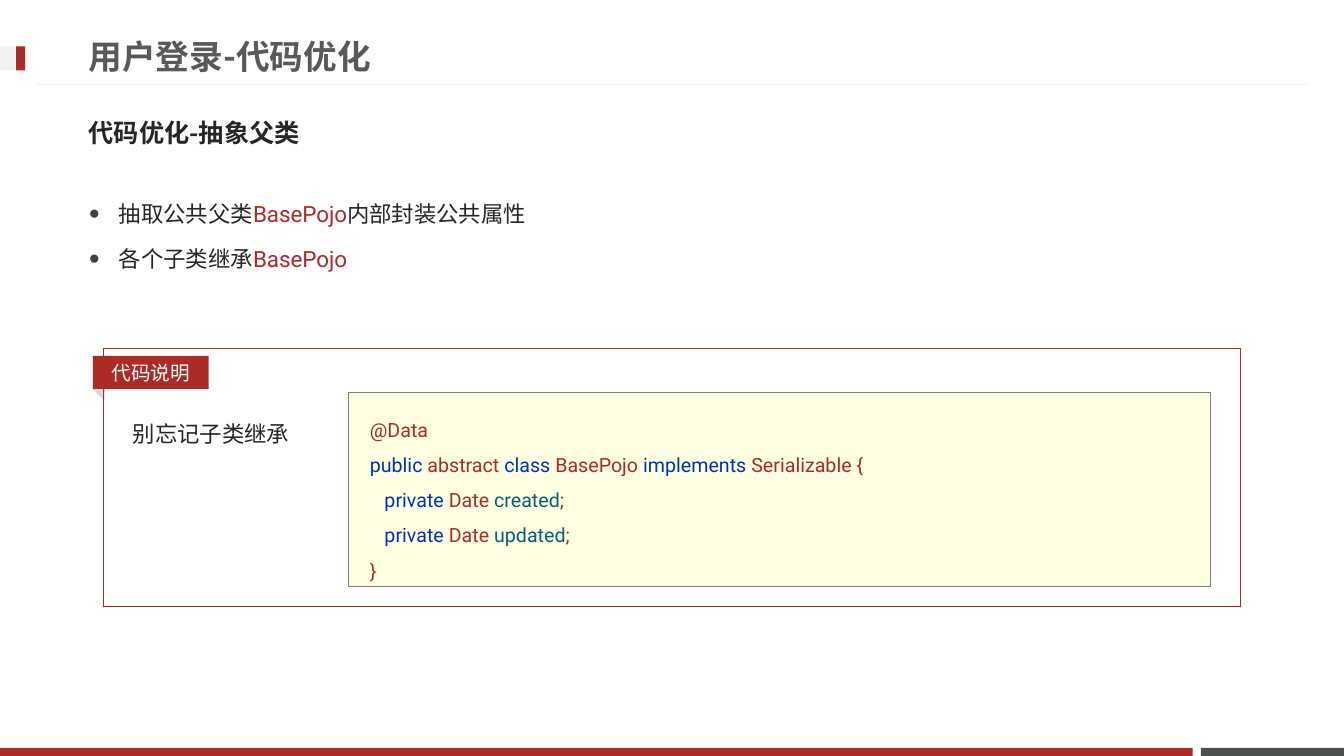
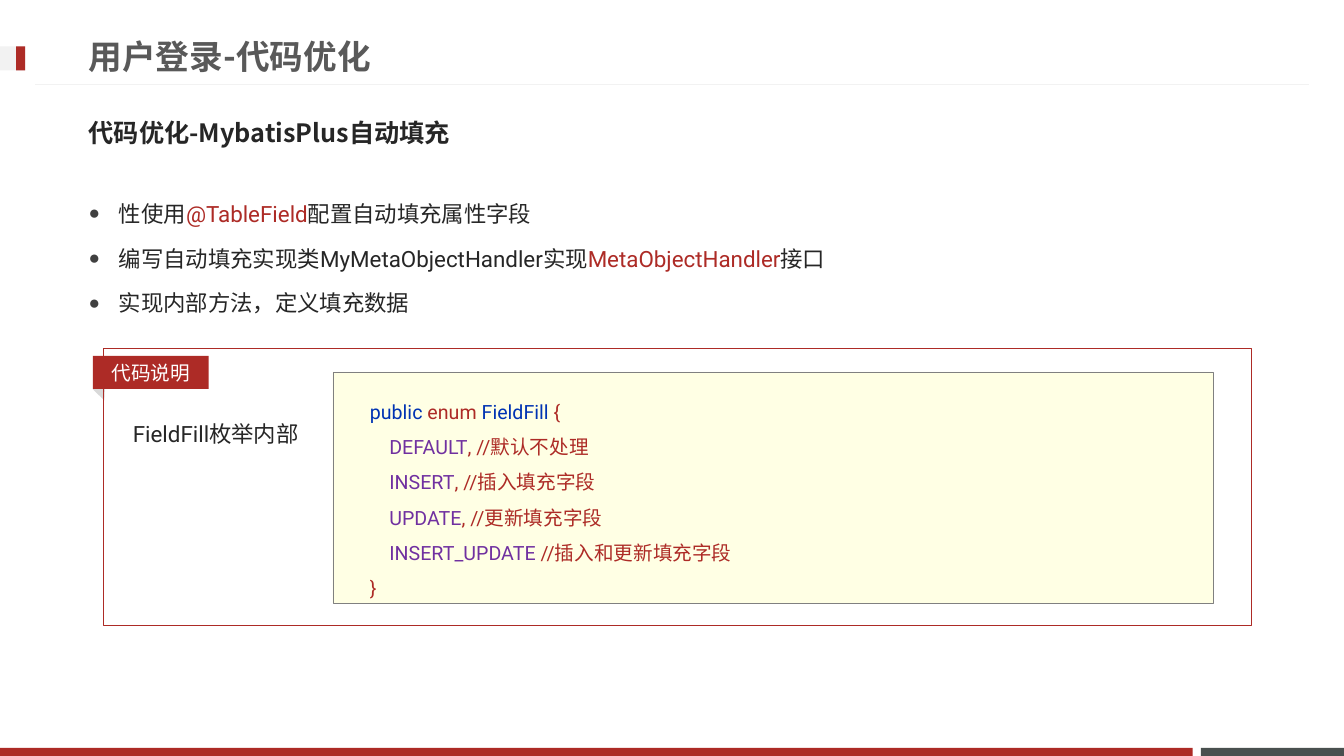
from lxml.etree import SubElement
from pptx import Presentation
from pptx.dml.color import RGBColor
from pptx.enum.lang import MSO_LANGUAGE_ID as Language
from pptx.enum.shapes import MSO_CONNECTOR as Connector, MSO_SHAPE as Preset
from pptx.enum.text import MSO_ANCHOR as Anchor, MSO_AUTO_SIZE as AutoSize, PP_ALIGN as Align
from pptx.oxml.ns import qn
from pptx.util import Inches, Pt

RED = RGBColor(0xAD, 0x2B, 0x26)
SLATE = RGBColor(0x49, 0x50, 0x4F)
PALE = RGBColor(0xF2, 0xF2, 0xF2)
FOLD = RGBColor(0xD9, 0xD9, 0xD9)
INK = RGBColor(0x26, 0x26, 0x26)
TITLE_GRAY = RGBColor(0x59, 0x59, 0x59)
BORDER_GRAY = RGBColor(0x80, 0x80, 0x80)
CREAM = RGBColor(0xFF, 0xFF, 0xE4)
WHITE = RGBColor(0xFF, 0xFF, 0xFF)
KEYWORD = RGBColor(0x00, 0x33, 0xB3)
FIELD = RGBColor(0x00, 0x62, 0x7A)
CONSTANT = RGBColor(0x70, 0x30, 0xA0)

BODY_FONT = "Roboto"
HEADING_FONT = "Noto Sans CJK JP"

TITLE_BOX = (0.78, 0.27, 9.59, 0.57)
LIST_BOX = (0.78, 1.8, 11.76, 4.61)
HEADING_BOX = (0.78, 1.03, 11.76, 0.57)
CODE_CENTER = 4.9
CODE_LINE = 0.35

PAGES = [
    {
        "heading": "代码优化-抽象父类",
        "points": [
            [("抽取公共父类", INK), ("BasePojo", RED), ("内部封装公共属性", INK)],
            [("各个子类继承", INK), ("BasePojo", RED)],
        ],
        "frame": (1.03, 3.46, 11.27, 2.56),
        "panel": (3.45, 3.89, 8.55, 1.93),
        "note": "别忘记子类继承",
        "code": [
            [("@Data", RED)],
            [("public", KEYWORD), (" abstract ", RED), ("class", KEYWORD),
             (" BasePojo ", RED), ("implements", KEYWORD), (" Serializable {", RED)],
            *[[("   ", RED), ("private", KEYWORD), (" Date ", RED), (name, FIELD), (";", RED)]
              for name in ("created", "updated")],
            [("}", RED)],
        ],
    },
    {
        "heading": "代码优化-MybatisPlus自动填充",
        "points": [
            [("性使用", INK), ("@TableField", RED), ("配置自动填充属性字段", INK)],
            [("编写自动填充实现类MyMetaObjectHandler实现", INK),
             ("MetaObjectHandler", RED), ("接口", INK)],
            [("实现内部方法，定义填充数据", INK)],
        ],
        "frame": (1.03, 3.46, 11.38, 2.75),
        "panel": (3.3, 3.69, 8.73, 2.29),
        "note": "FieldFill枚举内部",
        "code": [
            [("public ", KEYWORD), ("enum ", RED), ("FieldFill", KEYWORD), (" {", RED)],
            *[[("    ", RED), (constant, CONSTANT), (comment, RED)]
              for constant, comment in (
                  ("DEFAULT", ", //默认不处理"),
                  ("INSERT", ", //插入填充字段"),
                  ("UPDATE", ", //更新填充字段"),
                  ("INSERT_UPDATE ", "//插入和更新填充字段"))],
            [("}", RED)],
        ],
    },
]


def place(shape, box):
    shape.left, shape.top, shape.width, shape.height = map(Inches, box)


def add_bullet(paragraph):
    properties = paragraph._p.get_or_add_pPr()
    properties.set("marL", str(Inches(0.3)))
    properties.set("indent", str(-Inches(0.3)))
    color = SubElement(properties, qn("a:buClr"))
    SubElement(color, qn("a:srgbClr")).set("val", "404040")
    SubElement(properties, qn("a:buSzPct")).set("val", "85000")
    SubElement(properties, qn("a:buChar")).set("char", "●")


def clear_bullet(paragraph):
    properties = paragraph._p.get_or_add_pPr()
    properties.set("marL", "0")
    properties.set("indent", "0")
    SubElement(properties, qn("a:buNone"))


def add_run(paragraph, text, color, size, font_name, bold):
    run = paragraph.add_run()
    run.text = text
    font = run.font
    font.name = font_name
    font.size = Pt(size)
    font.bold = bold
    font.color.rgb = color
    font.language_id = Language.SIMPLIFIED_CHINESE
    SubElement(run._r.get_or_add_rPr(), qn("a:ea")).set("typeface", font_name)


def write(shape, lines, size, font_name=BODY_FONT, bold=False, anchor=Anchor.TOP,
          align=Align.LEFT, spacing=1.0, gap=0, marker=clear_bullet, fit=AutoSize.NONE):
    frame = shape.text_frame
    frame.word_wrap = True
    frame.auto_size = fit
    frame.vertical_anchor = anchor
    for index, runs in enumerate(lines):
        paragraph = frame.add_paragraph() if index else frame.paragraphs[0]
        marker(paragraph)
        paragraph.alignment = align
        paragraph.line_spacing = spacing
        paragraph.space_before = Pt(gap if index else 0)
        for text, color in runs:
            add_run(paragraph, text, color, size, font_name, bold)


def add_block(slide, box, fill=None, line=None, width=0.75, preset=Preset.RECTANGLE):
    shape = slide.shapes.add_shape(preset, *map(Inches, box))
    shape.shadow.inherit = False
    if fill is None:
        shape.fill.background()
    else:
        shape.fill.solid()
        shape.fill.fore_color.rgb = fill
    if line is None:
        shape.line.fill.background()
    else:
        shape.line.color.rgb = line
        shape.line.width = Pt(width)
    return shape


def add_rule(slide, left, right, top):
    rule = slide.shapes.add_connector(
        Connector.STRAIGHT, Inches(left), Inches(top), Inches(right), Inches(top))
    rule.line.color.rgb = PALE
    rule.line.width = Pt(0.75)
    SubElement(rule.element.spPr, qn("a:effectLst"))
    return rule


def add_text(slide, box, lines, size, **style):
    write(slide.shapes.add_textbox(*map(Inches, box)), lines, size, **style)


def prepare_layout(layout, slide):
    for placeholder, box in zip(layout.placeholders, (TITLE_BOX, LIST_BOX, HEADING_BOX)):
        place(placeholder, box)
    decorations = [
        add_block(slide, (11.91, 7.42, 1.42, 0.08), SLATE),
        add_block(slide, (0, 7.42, 11.83, 0.08), RED),
        add_rule(slide, 0.35, 12.98, 0.84),
        add_block(slide, (0, 0.46, 0.25, 0.24), PALE),
        add_block(slide, (0.16, 0.46, 0.09, 0.24), RED),
    ]
    for shape in decorations:
        layout.shapes.element.append(shape.element)


def add_code_card(slide, page):
    add_block(slide, page["panel"], CREAM, BORDER_GRAY, 0.25)
    fold = add_block(slide, (0.93, 3.84, 0.16, 0.09), FOLD, preset=Preset.ISOSCELES_TRIANGLE)
    fold.rotation = 44.2
    add_block(slide, page["frame"], line=RED)
    tag = add_block(slide, (0.92, 3.53, 1.15, 0.33), RED)
    write(tag, [[("代码说明", WHITE)]], 14, anchor=Anchor.MIDDLE, align=Align.CENTER)
    height = CODE_LINE * len(page["code"]) + 0.08
    add_text(slide, (3.57, CODE_CENTER - height / 2, 7.64, height), page["code"], 14,
             anchor=Anchor.MIDDLE, spacing=1.5, fit=AutoSize.SHAPE_TO_FIT_TEXT)
    add_text(slide, (1.22, 3.99, 3.57, 1.76), [[(page["note"], INK)]], 16, spacing=1.5)


def fill_slide(slide, page):
    title, points, heading = slide.placeholders
    write(title, [[("用户登录-代码优化", TITLE_GRAY)]], 24, bold=True, anchor=Anchor.MIDDLE)
    write(points, page["points"], 16, spacing=1.5, gap=3.2, marker=add_bullet)
    write(heading, [[(page["heading"], INK)]], 18, HEADING_FONT, bold=True,
          anchor=Anchor.MIDDLE)
    add_code_card(slide, page)


def main():
    presentation = Presentation()
    presentation.slide_width = Inches(13.33)
    presentation.slide_height = Inches(7.5)
    layout = presentation.slide_layouts.get_by_name("Two Content")
    slides = [presentation.slides.add_slide(layout) for _ in PAGES]
    prepare_layout(layout, slides[0])
    for slide, page in zip(slides, PAGES):
        fill_slide(slide, page)
    presentation.save("out.pptx")


if __name__ == "__main__":
    main()
